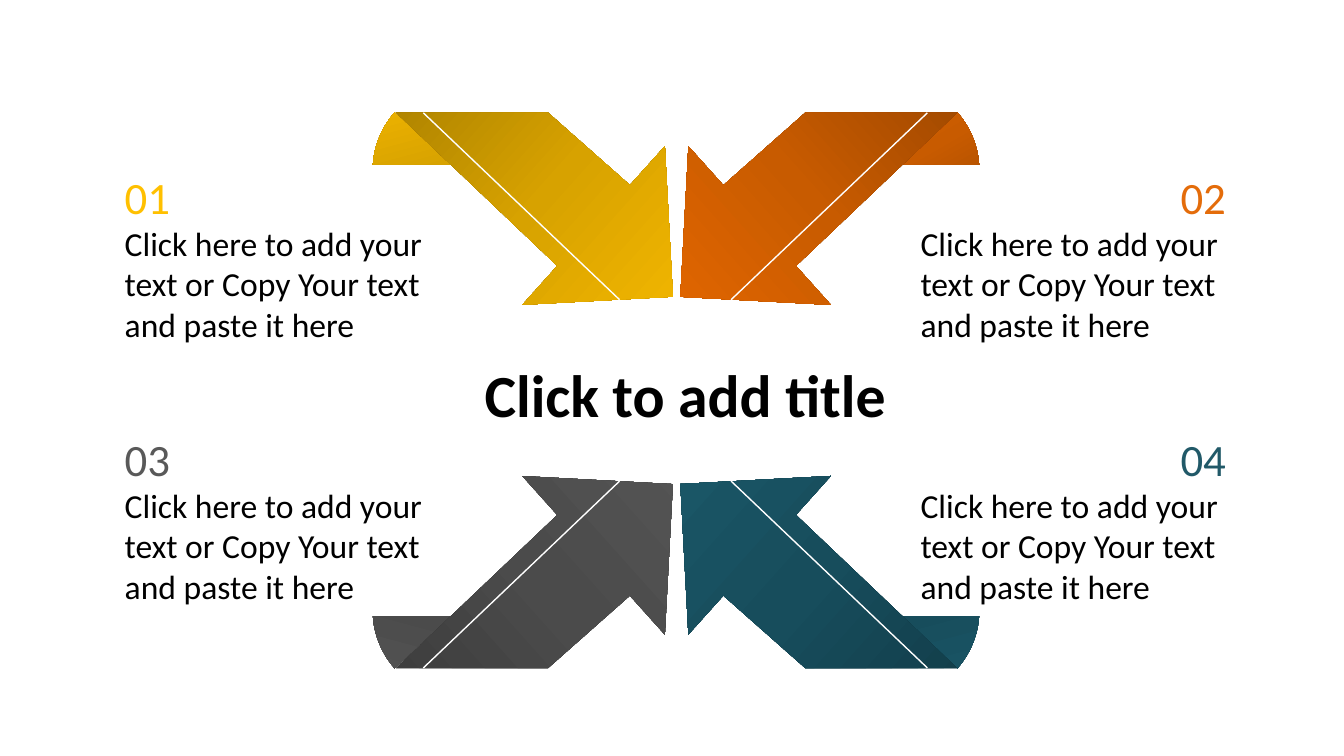
from copy import deepcopy
from math import cos, radians, sin
from typing import NamedTuple

from lxml.etree import SubElement
from pptx import Presentation
from pptx.dml.color import RGBColor
from pptx.dml.fill import FillFormat
from pptx.enum.shapes import MSO_CONNECTOR, MSO_SHAPE
from pptx.enum.text import MSO_ANCHOR, MSO_AUTO_SIZE, PP_ALIGN
from pptx.oxml.ns import qn
from pptx.shapes.autoshape import Shape
from pptx.slide import Slide
from pptx.util import Emu, Inches, Pt

WIDTH = Inches(10)
HEIGHT = Emu(WIDTH * 9 // 16)
CELL = WIDTH // 1000
FONT = "Calibri"
BLACK = RGBColor(0, 0, 0)
WHITE = RGBColor(255, 255, 255)
GOLD = tuple(map(RGBColor.from_string, ("977200", "D7A200", "FFC000")))
RUST = tuple(map(RGBColor.from_string, ("8D4000", "C85B00", "EE6B00")))
GRAY = tuple(map(RGBColor.from_string, ("353535", "4B4B4B", "595959")))
TEAL = tuple(map(RGBColor.from_string, ("103641", "174D5C", "1C5C6D")))
ORANGE, PETROL = RGBColor(0xE4, 0x6C, 0x0A), RGBColor(0x21, 0x59, 0x68)

ARROW = ((408, 84), (469, 138), (495, 109), (501, 221),
         (389, 227), (415, 198), (295, 84))
HUB = (409.5, 139.5)
TILT = 41.8
LINE = ((315, 84), (461, 223))
CURL = (335, 122.5)
CURL_SIZE = (122, 113)
BODY = ("Click here to add your", "text or Copy Your text", "and paste it here")


class Part(NamedTuple):
    """One quadrant of the diagram."""

    label: str
    right: bool
    low: bool
    shades: tuple[RGBColor, ...]
    ink: RGBColor
    curl_angle: int = 45


PARTS = (
    Part("01", False, False, GOLD, GOLD[2]),
    Part("02", True, False, RUST, ORANGE, 0),
    Part("03", False, True, GRAY, GRAY[2]),
    Part("04", True, True, TEAL, PETROL),
)


def grid(count: float) -> Emu:
    """Turn a number of grid cells into a length."""
    return Emu(round(count * CELL))


def mirror(part: Part, point: tuple[float, float],
           span: int) -> tuple[float, float]:
    """Carry a top-left point into the quadrant of a part."""
    x, y = point
    return (span - x if part.right else x, 581 - y if part.low else y)


def shade(shape: Shape, colors: tuple[RGBColor, ...], angle: int) -> None:
    """Fill a shape with an even three-stop gradient."""
    shape.shadow.inherit = False
    shape.line.fill.background()
    fill: FillFormat = shape.fill
    fill.gradient()
    stops = shape._element.spPr.find(qn("a:gradFill")).find(qn("a:gsLst"))
    stops.insert(1, deepcopy(stops[0]))
    for stop, color, place in zip(fill.gradient_stops, colors, (0, 0.5, 1)):
        stop.color.rgb = color
        stop.position = place
    fill.gradient_angle = angle


def draw_curl(slide: Slide, part: Part) -> None:
    """Draw the folded tail behind an arrow."""
    x, y = mirror(part, CURL, 1006)
    w, h = CURL_SIZE
    pie = slide.shapes.add_shape(MSO_SHAPE.PIE, grid(x - w / 2),
                                 grid(y - h / 2), grid(w), grid(h))
    pie.adjustments[0], pie.adjustments[1] = 143.911, 169.898
    pie.rotation = 300 if part.right == part.low else 60
    frame = pie._element.spPr.find(qn("a:xfrm"))
    for flag, name in ((part.right, "flipH"), (part.low, "flipV")):
        if flag:
            frame.set(name, "1")
    shade(pie, part.shades, part.curl_angle)


def draw_arrow(slide: Slide, part: Part) -> None:
    """Draw an arrow lying flat and turn it towards the centre."""
    cx, cy = mirror(part, HUB, 1007)
    turn = TILT if part.right == part.low else 360 - TILT
    c, s = cos(radians(turn)), sin(radians(turn))
    flat = []
    for point in ARROW:
        x, y = mirror(part, point, 1007)
        dx, dy = x - cx, y - cy
        flat.append((grid(cx + dx * c + dy * s), grid(cy - dx * s + dy * c)))
    path = slide.shapes.build_freeform(*flat[0], scale=1.0)
    path.add_line_segments(flat[1:], close=True)
    arrow = path.convert_to_shape()
    arrow.rotation = turn
    shade(arrow, part.shades, 180 if part.right else 0)


def draw_line(slide: Slide, part: Part) -> None:
    """Draw the thin white line along an arrow."""
    ends = [grid(v) for point in LINE for v in mirror(part, point, 1005)]
    line = slide.shapes.add_connector(MSO_CONNECTOR.STRAIGHT, *ends)
    line.line.color.rgb = WHITE
    line.line.width = Pt(0.75)
    SubElement(line._element.spPr, qn("a:effectLst"))


def draw_text(slide: Slide, part: Part) -> None:
    """Write the number and body text of a part."""
    box = slide.shapes.add_textbox(grid(672 if part.right else 83),
                                   grid(316 if part.low else 121),
                                   grid(250), grid(141))
    frame = box.text_frame
    frame.word_wrap = True
    frame.auto_size = MSO_AUTO_SIZE.SHAPE_TO_FIT_TEXT
    frame.text = "\n".join((part.label, *BODY))
    for item in frame.paragraphs:
        font = item.runs[0].font
        font.name, font.size, font.color.rgb = FONT, Pt(18), BLACK
    head = frame.paragraphs[0]
    head.runs[0].font.size = Pt(24)
    head.runs[0].font.color.rgb = part.ink
    if part.right:
        head.alignment = PP_ALIGN.RIGHT
        frame.margin_left = grid(13)


def set_title(slide: Slide) -> None:
    """Place and format the title in the middle."""
    title = slide.shapes.title
    title.left, title.top = grid(349), grid(261)
    title.width, title.height = grid(322), grid(64)
    frame = title.text_frame
    frame.text = "Click to add title"
    frame.word_wrap = False
    frame.auto_size = MSO_AUTO_SIZE.SHAPE_TO_FIT_TEXT
    frame.vertical_anchor = MSO_ANCHOR.TOP
    frame.paragraphs[0].alignment = PP_ALIGN.CENTER
    font = frame.paragraphs[0].runs[0].font
    font.name, font.size, font.bold = FONT, Pt(32), True
    font.color.rgb = BLACK


def main() -> None:
    """Build the slide and save it."""
    deck = Presentation()
    deck.slide_width, deck.slide_height = WIDTH, HEIGHT
    slide = deck.slides.add_slide(deck.slide_layouts[5])
    set_title(slide)
    for draw in (draw_curl, draw_arrow, draw_line, draw_text):
        for part in PARTS:
            draw(slide, part)
    deck.save("out.pptx")


if __name__ == "__main__":
    main()
